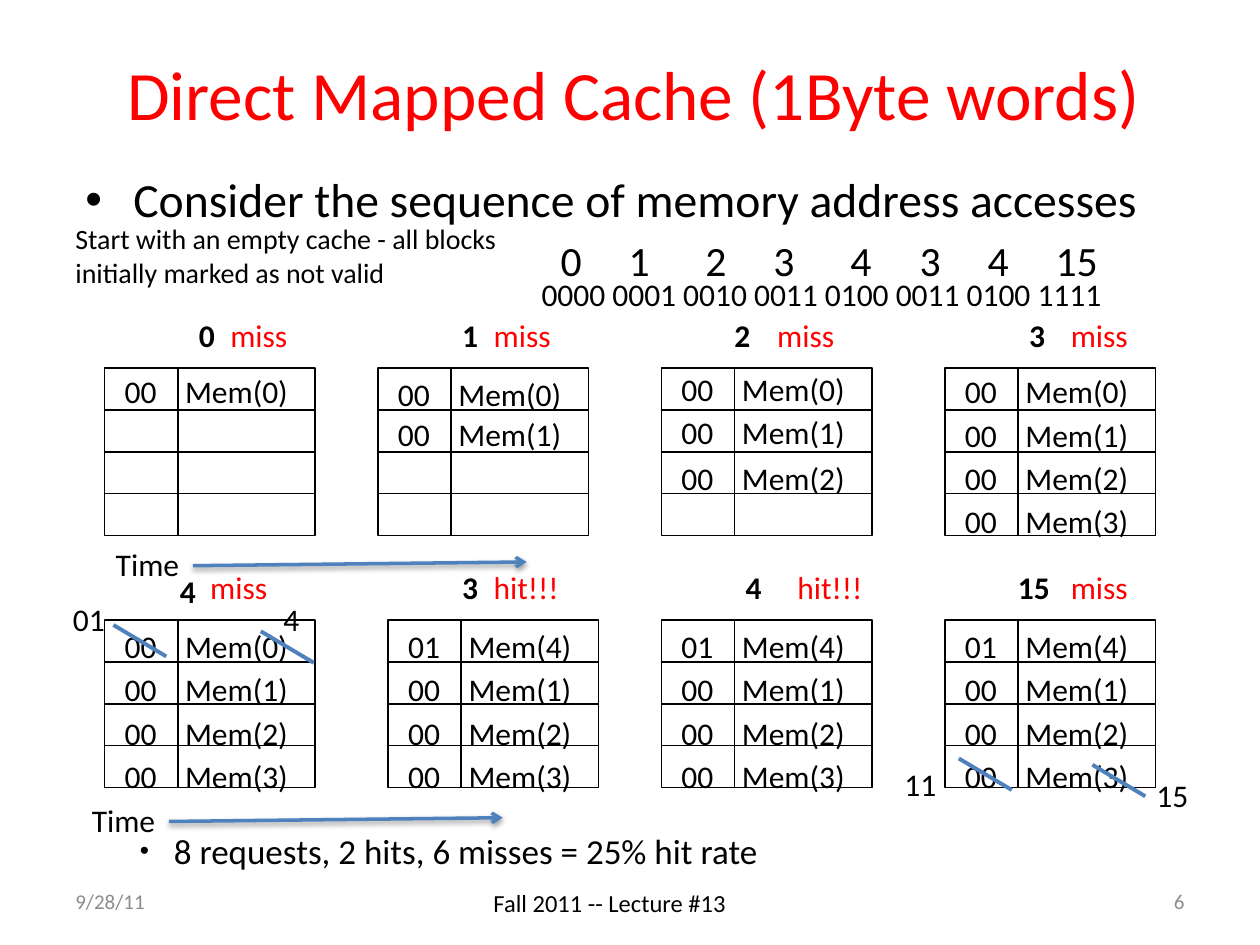
"""Build the slide that traces eight accesses through a direct mapped cache."""
from lxml.etree import SubElement
from pptx import Presentation
from pptx.dml.color import RGBColor
from pptx.enum.shapes import MSO_CONNECTOR, MSO_SHAPE
from pptx.enum.text import MSO_ANCHOR, PP_ALIGN
from pptx.oxml.ns import qn
from pptx.util import Inches, Pt

COLORS = {"text": "000000", "accent": "FF0000", "stroke": "4F81BD", "muted": "8C8C8C"}
FONT = "Calibri"
TAG_WIDTH, DATA_WIDTH, CACHE_HEIGHT, ROWS = 0.58, 1.09, 1.33, 4
ROW_HEIGHT = CACHE_HEIGHT / ROWS

prs = Presentation()
prs.slide_width, prs.slide_height = Inches(10), Inches(7.5)
slide = prs.slides.add_slide(prs.slide_layouts[5])


def add_text(left, top, width, height, lines, size=18, color="text", bold=False,
             wrap=False, align=PP_ALIGN.LEFT, anchor=MSO_ANCHOR.TOP, spacing=None):
    box = slide.shapes.add_textbox(Inches(left), Inches(top), Inches(width), Inches(height))
    frame = box.text_frame
    frame.word_wrap, frame.vertical_anchor = wrap, anchor
    for index, line in enumerate(lines):
        paragraph = frame.add_paragraph() if index else frame.paragraphs[0]
        paragraph.text, paragraph.alignment = line, align
        paragraph.line_spacing = spacing
        paragraph.font.name, paragraph.font.size = FONT, Pt(size)
        paragraph.font.bold = bold
        paragraph.font.color.rgb = RGBColor.from_string(COLORS[color])
    return frame


def add_line(x1, y1, x2, y2, color="text", width=1):
    line = slide.shapes.add_connector(
        MSO_CONNECTOR.STRAIGHT, Inches(x1), Inches(y1), Inches(x2), Inches(y2))
    line.line.color.rgb = RGBColor.from_string(COLORS[color])
    line.line.width = Pt(width)
    return line, SubElement(line._element.spPr, qn("a:effectLst"))


title = slide.shapes.title
title.left, title.top, title.width, title.height = map(Inches, (0.53, 0.11, 9, 1.25))
title.text_frame.text = "Direct Mapped Cache (1Byte words)"
title.text_frame.vertical_anchor = MSO_ANCHOR.MIDDLE
heading = title.text_frame.paragraphs[0]
heading.alignment = PP_ALIGN.CENTER
heading.font.name, heading.font.size = FONT, Pt(39.6)
heading.font.color.rgb = RGBColor.from_string(COLORS["accent"])

addresses = ["0", "1", "2", "3", "4", "3", "4", "15"]
intro = add_text(0.58, 1.3, 8.58, 0.89,
                 ["Consider the sequence of memory address accesses",
                  "\t" + "\t".join(addresses)], 27.2, wrap=True)
sequence = intro.paragraphs[1]
sequence.font.size, sequence.space_before = Pt(23.8), Pt(4.5)
tabbed = [(sequence, (3.77, 4.31, 4.92, 5.46, 6.07, 6.62, 7.16, 7.7))]

add_text(0.5, 1.71, 3.75, 0.64,
         ["Start with an empty cache - all blocks initially marked as not valid"], 16, wrap=True)
add_text(4.2, 2.13, 4.7, 0.4, [" ".join(f"{int(a):04b}" for a in addresses)])

first = [("00", 0), ("00", 1), ("00", 2), ("00", 3)]
replaced = [("01", 4)] + first[1:]
caches = [
    (0.83, 2.92, 1.48, 2.46, "miss", 1.73, [(2.86, first[:1])]),
    (3, 2.92, 3.57, 2.46, "miss", 3.82, [(2.88, first[:1]), (3.2, first[1:2])]),
    (5.25, 2.92, 5.73, 2.46, "miss", 6.07, [(2.84, first[:2]), (3.55, first[2:3])]),
    (7.5, 2.92, 8.07, 2.46, "miss", 8.4, [(2.86, first[:3]), (3.89, first[3:])]),
    (0.83, 4.92, 1.33, 4.49, "miss", 1.57, [(4.88, first)]),
    (3.08, 4.92, 3.57, 4.46, "hit!!!", 3.82, [(4.88, replaced)]),
    (5.25, 4.92, 5.82, 4.46, "hit!!!", 6.23, [(4.88, replaced)]),
    (7.5, 4.92, 7.98, 4.46, "miss", 8.4, [(4.88, replaced)]),
]
for address, cache in zip(addresses, caches):
    left, top, address_left, address_top, outcome, outcome_left, blocks = cache
    for column_left, width in ((left, TAG_WIDTH), (left + TAG_WIDTH, DATA_WIDTH)):
        column = slide.shapes.add_shape(
            MSO_SHAPE.RECTANGLE, Inches(column_left), Inches(top),
            Inches(width), Inches(CACHE_HEIGHT))
        column.shadow.inherit = False
        column.fill.background()
        column.line.color.rgb = RGBColor.from_string(COLORS["text"])
        column.line.width = Pt(1)
        for row in range(1, ROWS):
            y = top + row * ROW_HEIGHT
            add_line(column_left, y, column_left + width, y)
    add_text(address_left, address_top, 0.48 if len(address) > 1 else 0.34, 0.4,
             [address], bold=True)
    add_text(outcome_left, top - 0.46, 0.9, 0.4, [outcome], color="accent", wrap=True)
    for block_top, rows in blocks:
        entries = add_text(left + 0.06, block_top, 1.62, 0.1 + 0.35 * len(rows),
                           [f"{tag}\tMem({word})" for tag, word in rows],
                           wrap=True, spacing=1.15)
        tabbed += [(entry, (0.48,)) for entry in entries.paragraphs]

for paragraph, stops in tabbed:
    tab_list = SubElement(paragraph._p.get_or_add_pPr(), qn("a:tabLst"))
    for stop in stops:
        SubElement(tab_list, qn("a:tab"), pos=str(Inches(stop)), algn="l")

for x, y in ((0.9, 4.96), (2.07, 5.01), (7.61, 6.02), (8.67, 6.07)):
    add_line(x, y, x + 0.42, y + 0.25, "stroke", 2.25)
for x, y, new_value in ((0.48, 4.71, "01"), (2.15, 4.71, "4"), (7.08, 6.02, "11"), (9.08, 6.11, "15")):
    add_text(x, y, 0.48 if len(new_value) > 1 else 0.34, 0.4, [new_value])

for x, y in ((0.82, 4.28), (0.63, 6.31)):
    add_text(x, y, 0.71, 0.4, ["Time"])
    arrow, effects = add_line(x + 0.71, y + 0.21, x + 3.36, y + 0.18, "stroke", 2)
    SubElement(arrow.line._get_or_add_ln(), qn("a:tailEnd"), type="arrow")
    shadow = SubElement(effects, qn("a:outerShdw"), blurRad=str(Pt(3.1)), dist=str(Pt(1.6)),
                        dir="5400000", rotWithShape="0")
    shade = SubElement(shadow, qn("a:srgbClr"), val=COLORS["text"])
    SubElement(shade, qn("a:alpha"), val="38000")

summary = add_text(0.5, 6.55, 8.92, 0.39, ["8 requests, 2 hits, 6 misses = 25% hit rate"], 20, wrap=True)
summary.margin_left = summary.margin_right = Inches(0.07)
summary.margin_top = summary.margin_bottom = Inches(0.03)
for paragraph, margin, hanging, percent in (
        (intro.paragraphs[0], 0.38, 0.38, 100), (summary.paragraphs[0], 0.81, 0.27, 75)):
    properties = paragraph._p.get_or_add_pPr()
    properties.set("marL", str(Inches(margin)))
    properties.set("indent", str(Inches(-hanging)))
    SubElement(properties, qn("a:buSzPct"), val=str(percent * 1000))
    SubElement(properties, qn("a:buFont"), typeface="Arial")
    SubElement(properties, qn("a:buChar"), char="•")

add_text(0.5, 6.95, 2.33, 0.4, ["9/28/11"], 12, "muted", wrap=True, anchor=MSO_ANCHOR.MIDDLE)
lecture = add_text(3.58, 6.95, 3.17, 0.4, ["Fall 2011 -- Lecture #13"], 14, wrap=True, align=PP_ALIGN.CENTER)
lecture.margin_top, lecture.margin_right = Inches(0.1), Inches(0.75)
add_text(7.17, 6.95, 2.33, 0.4, ["6"], 12, "muted", wrap=True,
         align=PP_ALIGN.RIGHT, anchor=MSO_ANCHOR.MIDDLE)

prs.save("out.pptx")
